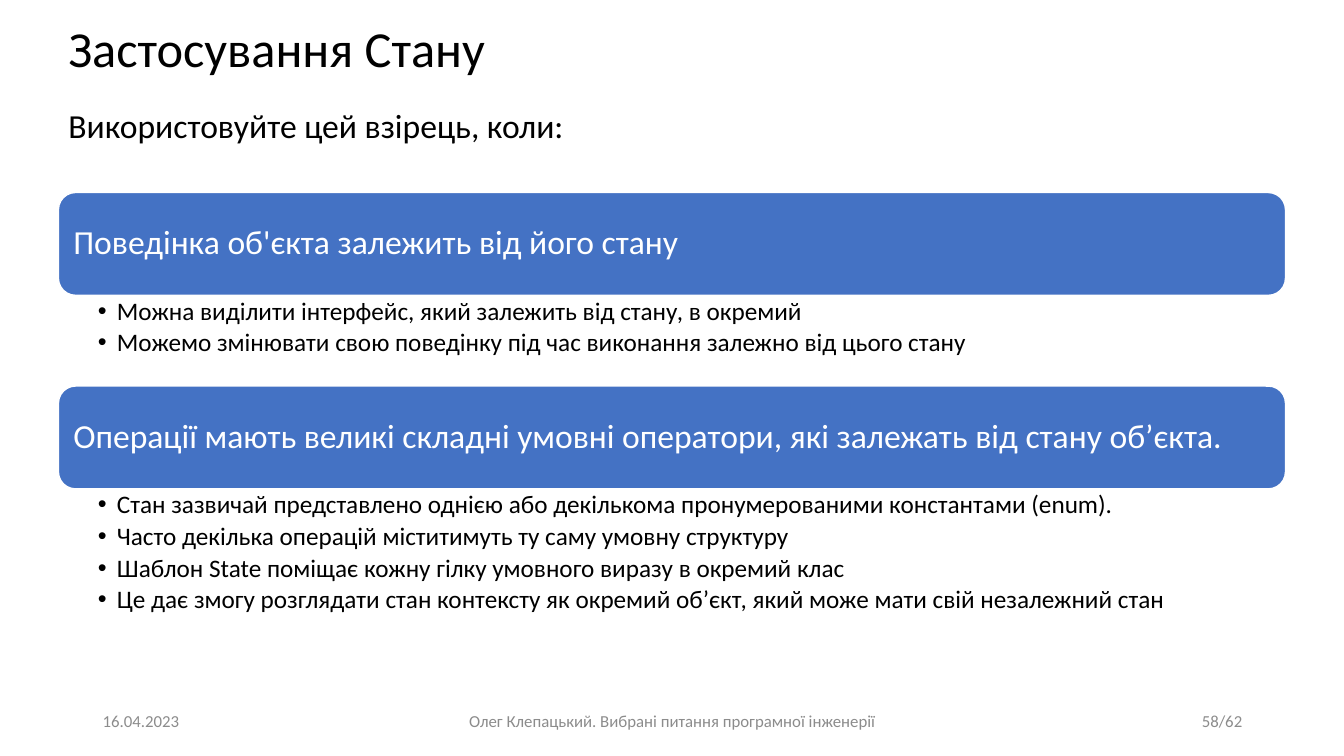
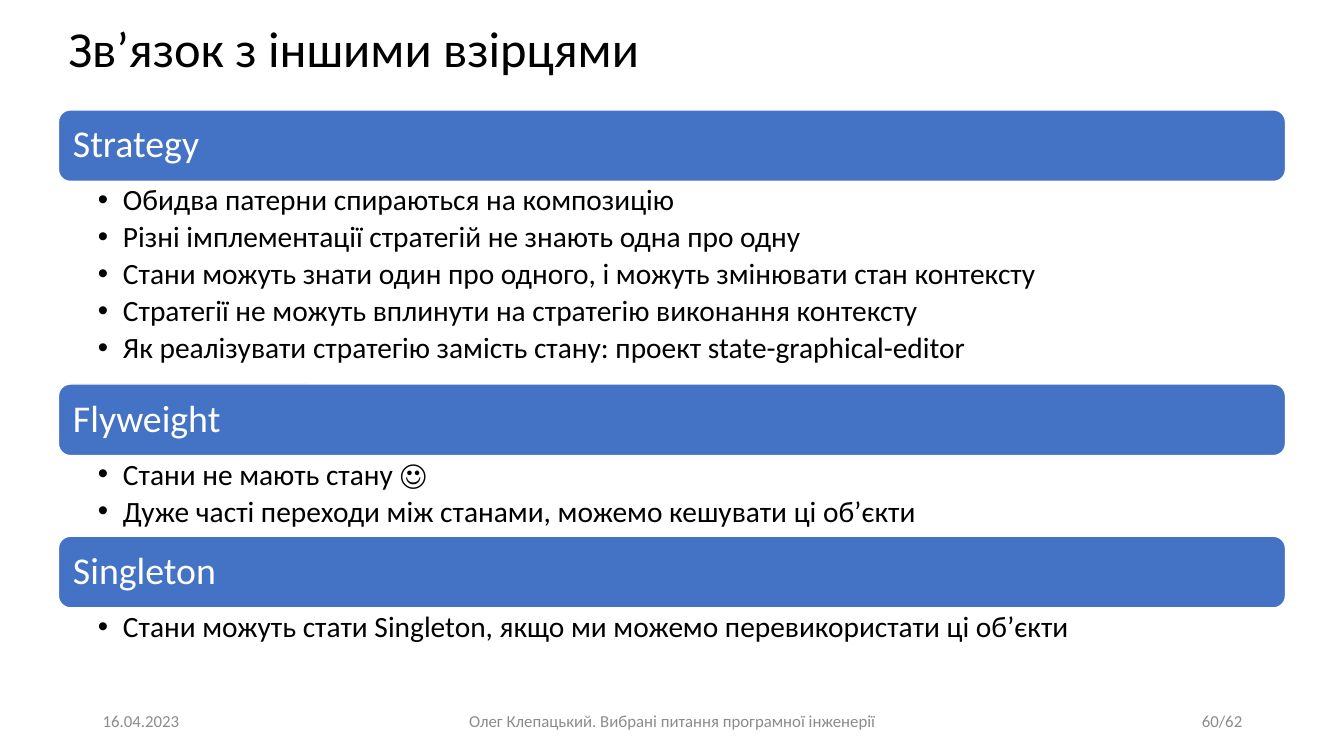
from dataclasses import dataclass

from lxml.etree import SubElement
from pptx import Presentation
from pptx.dml.color import RGBColor
from pptx.enum.shapes import MSO_SHAPE
from pptx.enum.text import MSO_ANCHOR, PP_ALIGN
from pptx.oxml.ns import qn
from pptx.util import Pt

EMU_PER_PX = 9144  # 100 px to the inch


def px(length):
    return length * EMU_PER_PX


@dataclass(frozen=True)
class Theme:
    font: str = "Calibri"
    text: RGBColor = RGBColor(0x00, 0x00, 0x00)
    bar: RGBColor = RGBColor(0x44, 0x72, 0xC4)
    on_bar: RGBColor = RGBColor(0xFF, 0xFF, 0xFF)
    footer: RGBColor = RGBColor(0x8C, 0x8C, 0x8C)
    title_size: int = 36
    lead_size: int = 24
    footer_size: int = 12
    line_spacing: float = 0.9
    bullet_gap: float = 0.18  # share of the type size


@dataclass(frozen=True)
class ListStyle:
    """Sizes of one list of bars: type in points, lengths in px."""
    bar_height: int
    bar_size: int
    bar_inset: int
    bullet_size: int
    bullet_indent: int
    bullet_top: int
    bullet_right: int


ROOMY = ListStyle(102, 24, 10, 18, 19, 3, 14)
COMPACT = ListStyle(71, 27, 11, 21, 25, 4, 21)


class Deck:
    LEFT = 58
    WIDTH = 1217
    BULLET_LEFT = 39
    DATE = "16.04.2023"
    COURSE = "Олег Клепацький. Вибрані питання програмної інженерії"
    PAGE_COUNT = 62

    def __init__(self, theme):
        self.theme = theme
        self.presentation = Presentation()
        self.presentation.slide_width = px(1333)
        self.presentation.slide_height = px(750)
        self.slide = None

    def start_slide(self, title, page):
        self.slide = self.presentation.slides.add_slide(self.presentation.slide_layouts[6])
        frame = self.text_box(self.LEFT, 2, 1054, 97, anchor=MSO_ANCHOR.MIDDLE)
        paragraph = frame.paragraphs[0]
        paragraph.line_spacing = self.theme.line_spacing
        self.add_run(paragraph, title, self.theme.title_size, self.theme.text)
        self.footer(page)

    def footer(self, page):
        for text, left, width, alignment in (
            (self.DATE, 92, 300, PP_ALIGN.LEFT),
            (self.COURSE, 442, 450, PP_ALIGN.CENTER),
            (f"{page}/{self.PAGE_COUNT}", 942, 300, PP_ALIGN.RIGHT),
        ):
            frame = self.text_box(left, 695, width, 40, anchor=MSO_ANCHOR.MIDDLE)
            paragraph = frame.paragraphs[0]
            paragraph.alignment = alignment
            self.add_run(paragraph, text, self.theme.footer_size, self.theme.footer)

    def lead(self, text):
        frame = self.text_box(self.LEFT, 99, 1093, 50)
        self.add_run(frame.paragraphs[0], text, self.theme.lead_size, self.theme.text)

    def bar_list(self, top, style, sections):
        """Stack (heading, bullet area height, bullets) sections downwards."""
        for heading, height, bullets in sections:
            self.bar(top, heading, style)
            top += style.bar_height
            self.bullets(top, height, bullets, style)
            top += height

    def bar(self, top, text, style):
        shape = self.slide.shapes.add_shape(
            MSO_SHAPE.ROUNDED_RECTANGLE,
            px(self.LEFT), px(top), px(self.WIDTH), px(style.bar_height))
        shape.shadow.inherit = False
        shape.fill.solid()
        shape.fill.fore_color.rgb = self.theme.bar
        shape.line.color.rgb = self.theme.on_bar
        shape.line.width = Pt(1)
        frame = shape.text_frame
        self.set_frame(frame, (style.bar_inset,) * 4, MSO_ANCHOR.MIDDLE)
        paragraph = frame.paragraphs[0]
        paragraph.alignment = PP_ALIGN.LEFT
        paragraph.line_spacing = self.theme.line_spacing
        self.add_run(paragraph, text, style.bar_size, self.theme.on_bar)

    def bullets(self, top, height, items, style):
        insets = (self.BULLET_LEFT, style.bullet_top, style.bullet_right, style.bullet_top)
        frame = self.text_box(self.LEFT, top, self.WIDTH, height, insets)
        for index, item in enumerate(items):
            paragraph = frame.add_paragraph() if index else frame.paragraphs[0]
            self.add_bullet(paragraph, style.bullet_indent)
            paragraph.line_spacing = self.theme.line_spacing
            paragraph.space_after = Pt(style.bullet_size * self.theme.bullet_gap)
            self.add_run(paragraph, item, style.bullet_size, self.theme.text)

    def text_box(self, left, top, width, height, insets=(10, 5, 10, 5), anchor=MSO_ANCHOR.TOP):
        shape = self.slide.shapes.add_textbox(px(left), px(top), px(width), px(height))
        self.set_frame(shape.text_frame, insets, anchor)
        return shape.text_frame

    @staticmethod
    def set_frame(frame, insets, anchor):
        frame.word_wrap = True
        frame.vertical_anchor = anchor
        left, top, right, bottom = map(px, insets)
        frame.margin_left, frame.margin_top = left, top
        frame.margin_right, frame.margin_bottom = right, bottom

    @staticmethod
    def add_bullet(paragraph, indent):
        properties = paragraph._p.get_or_add_pPr()
        properties.set("marL", str(px(indent)))
        properties.set("indent", str(-px(indent)))
        SubElement(properties, qn("a:buFont")).set("typeface", "Arial")
        SubElement(properties, qn("a:buChar")).set("char", "•")

    def add_run(self, paragraph, text, size, color):
        run = paragraph.add_run()
        run.text = text
        run.font.name = self.theme.font
        run.font.size = Pt(size)
        run.font.color.rgb = color


def main():
    deck = Deck(Theme())

    deck.start_slide("Застосування Стану", 58)
    deck.lead("Використовуйте цей взірець, коли:")
    deck.bar_list(191, ROOMY, (
        ("Поведінка об'єкта залежить від його стану", 90, (
            "Можна виділити інтерфейс, який залежить від стану, в окремий",
            "Можемо змінювати свою поведінку під час виконання залежно від цього стану",
        )),
        ("Операції мають великі складні умовні оператори, які залежать від стану об’єкта.", 136, (
            "Стан зазвичай представлено однією або декількома пронумерованими константами (enum).",
            "Часто декілька операцій міститимуть ту саму умовну структуру",
            "Шаблон State поміщає кожну гілку умовного виразу в окремий клас",
            "Це дає змогу розглядати стан контексту як окремий об’єкт, "
            "який може мати свій незалежний стан",
        )),
    ))

    deck.start_slide("Зв’язок з іншими взірцями", 60)
    deck.bar_list(109, COMPACT, (
        ("Strategy", 201, (
            "Обидва патерни спираються на композицію",
            "Різні імплементації стратегій не знають одна про одну",
            "Стани можуть знати один про одного, і можуть змінювати стан контексту",
            "Стратегії не можуть вплинути на стратегію виконання контексту",
            "Як реалізувати стратегію замість стану: проект state-graphical-editor",
        )),
        ("Flyweight", 80, (
            "Стани не мають стану ☺",
            "Дуже часті переходи між станами, можемо кешувати ці об’єкти",
        )),
        ("Singleton", 49, (
            "Стани можуть стати Singleton, якщо ми можемо перевикористати ці об’єкти",
        )),
    ))

    deck.presentation.save("out.pptx")


if __name__ == "__main__":
    main()
